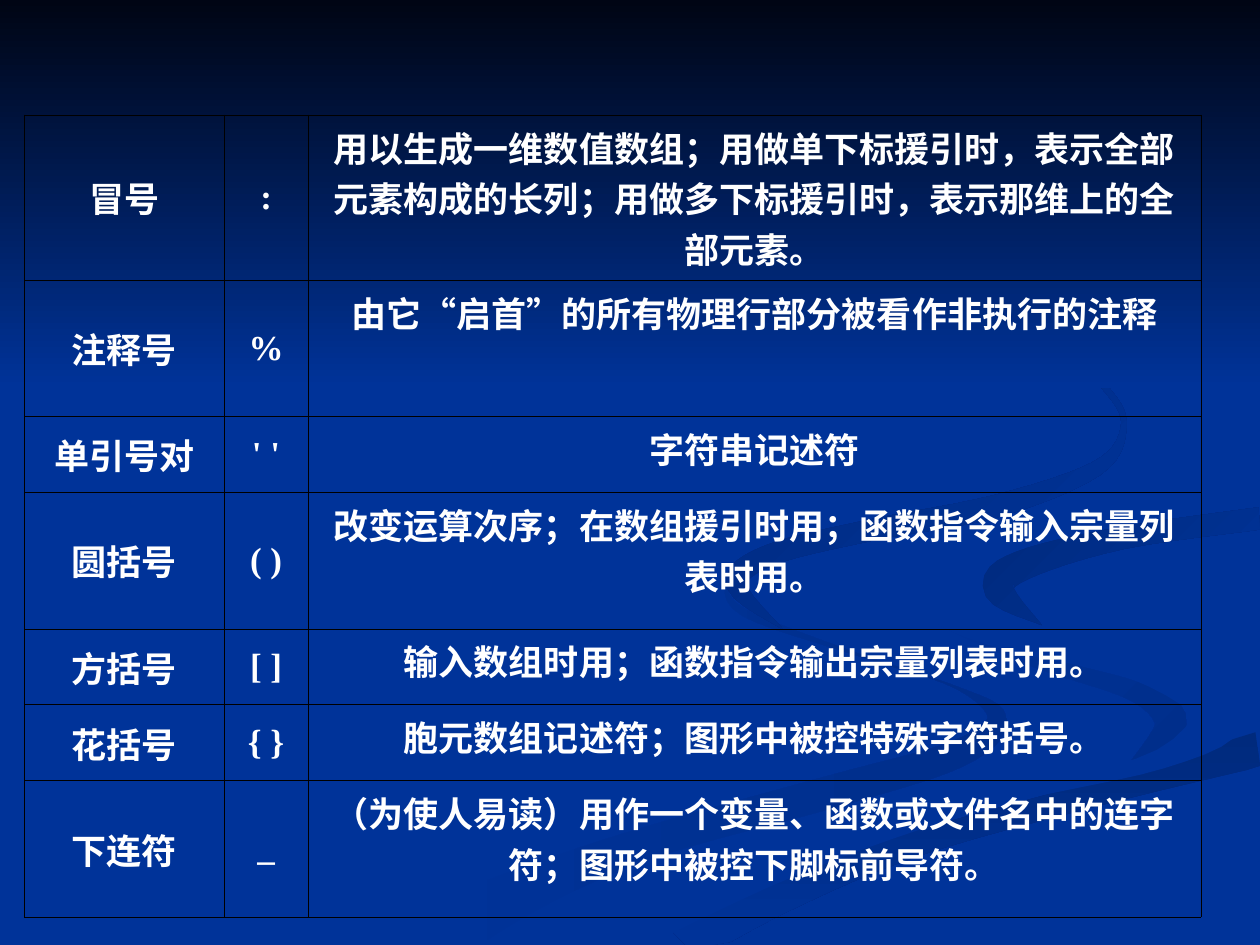
"""Build a slide that explains punctuation symbols in a table over a ribbon background."""
import math
from dataclasses import dataclass
from typing import NamedTuple

import lxml.etree
import pptx
import pptx.dml.color
import pptx.dml.fill
import pptx.enum.lang
import pptx.enum.shapes
import pptx.enum.text
import pptx.oxml.ns
import pptx.shapes.autoshape
import pptx.slide
import pptx.table
import pptx.util

Cm = pptx.util.Cm
RGBColor = pptx.dml.color.RGBColor

BLUE = RGBColor(0x00, 0x33, 0x99)
NIGHT = RGBColor(0x00, 0x05, 0x14)
SHADE = RGBColor(0x00, 0x2E, 0x8B)
DEEP_SHADE = RGBColor(0x00, 0x2A, 0x7D)
WHITE = RGBColor(0xFF, 0xFF, 0xFF)
BLACK = RGBColor(0x00, 0x00, 0x00)

PAGE_WIDTH, PAGE_HEIGHT = 25.4, 19.05
SKY_HEIGHT = Cm(7.82)
STEPS_PER_SPAN = 6
TABLE_LEFT, TABLE_TOP = Cm(0.5), Cm(2.32)
COLUMN_WIDTHS = (Cm(4.02), Cm(1.69), Cm(18))
LOW, MIDDLE, HIGH = Cm(1.53), Cm(2.75), Cm(3.32)
BORDER_WIDTH = pptx.util.Pt(0.45)
BORDER_TAGS = ("a:lnL", "a:lnR", "a:lnT", "a:lnB")


class Knot(NamedTuple):
    """A point on the centre line of a ribbon and the ribbon's thickness there, in centimetres."""

    x: float
    y: float
    thickness: float


@dataclass(frozen=True)
class Gradient:
    """Two colours and the clockwise angle from the first to the second."""

    start: RGBColor
    end: RGBColor
    angle: int


@dataclass(frozen=True)
class Ribbon:
    """A smooth band that runs through its knots."""

    gradient: Gradient
    knots: tuple[Knot, ...]


@dataclass(frozen=True)
class Symbol:
    """A table row: the name of a symbol, its sign and its use."""

    name: str
    sign: str
    use: str
    height: pptx.util.Length


SKY = Gradient(NIGHT, BLUE, 90)
LEFT_SWEEP = Ribbon(Gradient(BLUE, SHADE, 0), (
    Knot(14.6, 11.7, 0), Knot(15, 12.35, 0.15), Knot(17.3, 13.2, 0.05), Knot(19.3, 13.87, 0.05),
    Knot(20.1, 14.5, 0.4), Knot(19.3, 15.2, 0.55), Knot(16.8, 15.95, 0.65),
    Knot(13.2, 16.95, 0.65), Knot(10.7, 17.9, 0.9), Knot(8.4, 19.05, 1.4)))
RIGHT_HOOK = Ribbon(Gradient(BLUE, SHADE, 45), (
    Knot(18.4, 11.8, 0), Knot(18.8, 12.45, 0.1), Knot(20.8, 13.3, 0.25),
    Knot(22.9, 13.95, 0.4), Knot(23.6, 14.6, 0.65), Knot(22.8, 15.35, 0)))
LOWER_BAND = Ribbon(Gradient(DEEP_SHADE, BLUE, 90), (
    Knot(25.4, 15.1, 0.7), Knot(22.1, 16, 0.5), Knot(18.5, 17, 0.5),
    Knot(15.8, 18, 0.75), Knot(13.6, 19.05, 1)))
PLAIN_SWEEP = Ribbon(Gradient(BLUE, BLUE, 0), (
    Knot(25.4, 10, 0.4), Knot(22.4, 10.5, 0.4), Knot(19.8, 11.05, 0.75), Knot(19.1, 11.8, 1.4),
    Knot(20.3, 12.65, 0.9), Knot(22.9, 13.4, 0.6), Knot(24.6, 14.2, 1.2), Knot(23.4, 15.3, 0.4),
    Knot(19.8, 16.2, 0.25), Knot(16, 17.45, 0.4), Knot(12.5, 19, 0.6)))
UPPER_HOOK = Ribbon(Gradient(DEEP_SHADE, BLUE, 45), (
    Knot(25.4, 10.45, 0.45), Knot(22.6, 10.85, 0.45), Knot(20.6, 11.4, 0.6),
    Knot(20.15, 11.9, 0.6), Knot(21, 12.6, 0)))
TALL_CURL = Ribbon(Gradient(DEEP_SHADE, BLUE, 45), (
    Knot(19.35, 5.9, 0), Knot(21.1, 6.8, 0.05), Knot(22.35, 7.9, 0.12), Knot(22.65, 8.65, 0.12),
    Knot(22.1, 9.45, 0.3), Knot(20.1, 10.2, 0.45), Knot(17.5, 10.7, 0.43),
    Knot(15.5, 11.2, 0.43), Knot(14.85, 11.8, 0.4), Knot(15.8, 12.7, 0)))
RIBBONS = (LEFT_SWEEP, RIGHT_HOOK, LOWER_BAND, PLAIN_SWEEP, UPPER_HOOK, TALL_CURL)

SYMBOLS = (
    Symbol("冒号", ":", "用以生成一维数值数组；用做单下标援引时，表示全部元素构成的长列；"
           "用做多下标援引时，表示那维上的全部元素。", HIGH),
    Symbol("注释号", "%", "由它“启首”的所有物理行部分被看作非执行的注释", MIDDLE),
    Symbol("单引号对", "' '", "字符串记述符", LOW),
    Symbol("圆括号", "( )", "改变运算次序；在数组援引时用；函数指令输入宗量列表时用。", MIDDLE),
    Symbol("方括号", "[ ]", "输入数组时用；函数指令输出宗量列表时用。", LOW),
    Symbol("花括号", "{ }", "胞元数组记述符；图形中被控特殊字符括号。", LOW),
    Symbol("下连符", "_", "（为使人易读）用作一个变量、函数或文件名中的连字符；"
           "图形中被控下脚标前导符。", MIDDLE),
)


def blend(before: float, start: float, end: float, after: float, t: float) -> float:
    """Return the Catmull-Rom value between start and end at t from 0 to 1."""
    return start + t / 2 * (end - before + t * (2 * before - 5 * start + 4 * end - after
                                                + t * (3 * (start - end) + after - before)))


def smooth(knots: tuple[Knot, ...]) -> list[Knot]:
    """Return closely spaced knots on a curve through the given ones."""
    padded = (knots[0], *knots, knots[-1])
    curve = [Knot(*(blend(*values, step / STEPS_PER_SPAN) for values in zip(*padded[i:i + 4])))
             for i in range(len(knots) - 1) for step in range(STEPS_PER_SPAN)]
    return [*curve, knots[-1]]


def ribbon_outline(knots: tuple[Knot, ...]) -> list[tuple[int, int]]:
    """Return the two edges of a ribbon as one outline kept on the page."""
    curve = smooth(knots)
    edges = {1: [], -1: []}
    for before, knot, after in zip([curve[0], *curve], curve, [*curve[1:], curve[-1]]):
        normal = math.atan2(after.y - before.y, after.x - before.x) + math.pi / 2
        for side, edge in edges.items():
            offset = side * max(knot.thickness, 0) / 2
            x = min(knot.x + offset * math.cos(normal), PAGE_WIDTH)
            y = min(knot.y + offset * math.sin(normal), PAGE_HEIGHT)
            edge.append((Cm(x), Cm(y)))
    return edges[1] + edges[-1][::-1]


def paint(shape: pptx.shapes.autoshape.Shape, gradient: Gradient) -> None:
    """Fill a shape with a gradient and remove its line and shadow."""
    shape.shadow.inherit = False
    shape.line.fill.background()
    shape.fill.gradient()
    shape.fill.gradient_angle = (360 - gradient.angle) % 360
    for stop, color in zip(shape.fill.gradient_stops, (gradient.start, gradient.end)):
        stop.color.rgb = color


def draw_background(page: pptx.slide.Slide) -> None:
    """Draw the blue page, its ribbons and the dark sky at the top."""
    page.background.fill.solid()
    page.background.fill.fore_color.rgb = BLUE
    for ribbon in RIBBONS:
        start, *others = ribbon_outline(ribbon.knots)
        builder = page.shapes.build_freeform(*start)
        builder.add_line_segments(others, close=True)
        paint(builder.convert_to_shape(), ribbon.gradient)
    rectangle = pptx.enum.shapes.MSO_SHAPE.RECTANGLE
    paint(page.shapes.add_shape(rectangle, 0, 0, Cm(PAGE_WIDTH), SKY_HEIGHT), SKY)


def set_borders(cell: pptx.table._Cell) -> None:
    """Give a cell thin black borders on its four sides."""
    properties = cell._tc.get_or_add_tcPr()
    for index, tag in enumerate(BORDER_TAGS):
        border = lxml.etree.Element(pptx.oxml.ns.qn(tag), w=str(int(BORDER_WIDTH)))
        fill = lxml.etree.SubElement(border, pptx.oxml.ns.qn("a:solidFill"))
        lxml.etree.SubElement(fill, pptx.oxml.ns.qn("a:srgbClr"), val=str(BLACK))
        properties.insert(index, border)


def fill_cell(cell: pptx.table._Cell, text: str, anchor: pptx.enum.text.MSO_ANCHOR) -> None:
    """Write bold white text in a transparent cell."""
    cell.fill.background()
    cell.vertical_anchor = anchor
    cell.text_frame.text = text
    para = cell.text_frame.paragraphs[0]
    para.alignment = pptx.enum.text.PP_ALIGN.CENTER
    font = para.runs[0].font
    font.name = "Times New Roman"
    font.size = pptx.util.Pt(20)
    font.bold = True
    font.color.rgb = WHITE
    font.language_id = pptx.enum.lang.MSO_LANGUAGE_ID.SIMPLIFIED_CHINESE
    set_borders(cell)


def draw_table(page: pptx.slide.Slide, symbols: tuple[Symbol, ...]) -> None:
    """Draw one row for each symbol."""
    frame = page.shapes.add_table(len(symbols), len(COLUMN_WIDTHS), TABLE_LEFT, TABLE_TOP,
                                  sum(COLUMN_WIDTHS), sum(symbol.height for symbol in symbols))
    table = frame.table
    table.first_row = table.horz_banding = False
    for column, width in zip(table.columns, COLUMN_WIDTHS):
        column.width = width
    middle, top = pptx.enum.text.MSO_ANCHOR.MIDDLE, pptx.enum.text.MSO_ANCHOR.TOP
    for row, symbol in zip(table.rows, symbols):
        row.height = symbol.height
        texts = (symbol.name, symbol.sign, symbol.use)
        for cell, text, anchor in zip(row.cells, texts, (middle, middle, top)):
            fill_cell(cell, text, anchor)


if __name__ == "__main__":
    deck = pptx.Presentation()
    deck.slide_width, deck.slide_height = Cm(PAGE_WIDTH), Cm(PAGE_HEIGHT)
    slide = deck.slides.add_slide(deck.slide_layouts[6])
    draw_background(slide)
    draw_table(slide, SYMBOLS)
    deck.save("out.pptx")
